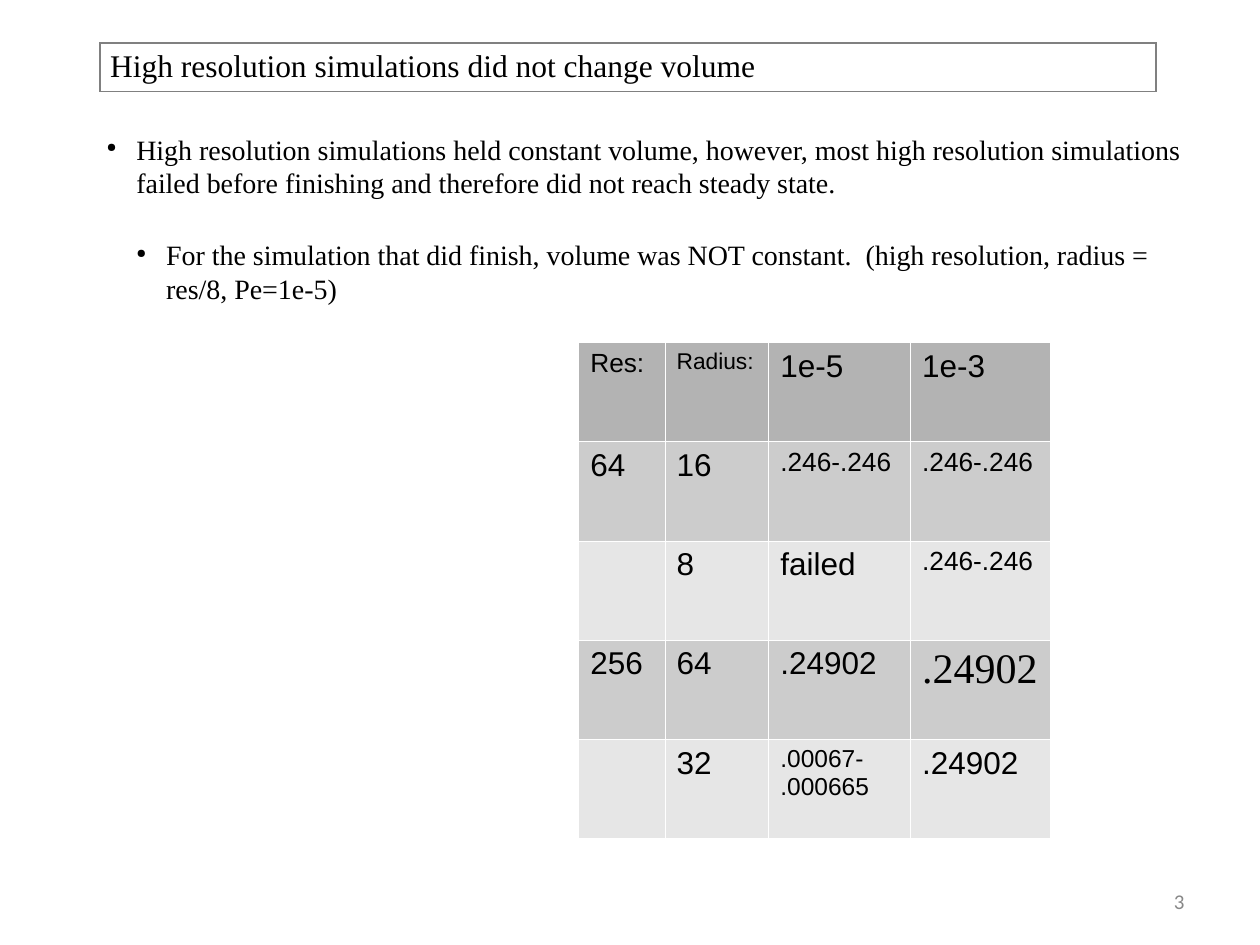
from lxml import etree
from pptx import Presentation
from pptx.dml.color import RGBColor
from pptx.enum import text
from pptx.oxml import ns
from pptx.util import Cm, Pt

COLORS = {"ink": "000000", "number": "888888", "frame": "808080", "grid": "FFFFFF",
          "header": "B3B3B3", "dark": "CCCCCC", "light": "E6E6E6"}
SERIF, SANS = "Times New Roman", "Arial"


def style_text(paragraph, size, font, color="ink"):
    """Format every run of a paragraph."""
    for span in paragraph.runs:
        span.font.size = Pt(size)
        span.font.name = font
        span.font.color.rgb = RGBColor.from_string(COLORS[color])


def style_cell(cell, border, width, fill=None):
    """Set the fill of a table cell and one line on all four sides."""
    if fill:
        cell.fill.solid()
        cell.fill.fore_color.rgb = RGBColor.from_string(COLORS[fill])
    else:
        cell.fill.background()
    properties = cell._tc.get_or_add_tcPr()
    for index, side in enumerate(("lnL", "lnR", "lnT", "lnB")):
        line = etree.Element(ns.qn(f"a:{side}"), w=str(Pt(width)))
        solid = etree.SubElement(line, ns.qn("a:solidFill"))
        etree.SubElement(solid, ns.qn("a:srgbClr"), val=COLORS[border])
        properties.insert(index, line)


deck = Presentation()
deck.slide_width, deck.slide_height = Cm(25.4), Cm(19.05)
page = deck.slides.add_slide(deck.slide_layouts[6])

# Framed title
title = page.shapes.add_table(1, 1, Cm(2.02), Cm(0.87), Cm(21.28), Cm(0.97)).table
title.first_row = title.horz_banding = False
heading = title.cell(0, 0)
heading.text_frame.text = "High resolution simulations did not change volume"
heading.margin_left = Cm(0.2)
heading.vertical_anchor = text.MSO_ANCHOR.MIDDLE
style_text(heading.text_frame.paragraphs[0], 18, SERIF)
style_cell(heading, "frame", 0.96)

# Bulleted findings
findings = [
    "High resolution simulations held constant volume, however, most high resolution "
    "simulations failed before finishing and therefore did not reach steady state.",
    "For the simulation that did finish, volume was NOT constant.  (high resolution, "
    "radius = res/8, Pe=1e-5)",
]
box = page.shapes.add_textbox(Cm(1.9), Cm(2.54), Cm(22.23), Cm(3.45))
box.text_frame.word_wrap = True
box.text_frame.text = "\n".join(findings)
for level, paragraph in enumerate(box.text_frame.paragraphs):
    paragraph.level = level
    paragraph.space_before = Pt(22 * level)
    style_text(paragraph, 16, SERIF)
    properties = paragraph._p.get_or_add_pPr()
    properties.set("marL", str(Cm(0.6 * (level + 1))))
    properties.set("indent", str(Cm(-0.6)))
    bullet_color = etree.SubElement(properties, ns.qn("a:buClr"))
    etree.SubElement(bullet_color, ns.qn("a:srgbClr"), val=COLORS["ink"])
    etree.SubElement(properties, ns.qn("a:buSzPct"), val="45000")
    etree.SubElement(properties, ns.qn("a:buChar"), char="●")

# Volume by resolution and radius
volumes = [
    ["Res:", "Radius:", "1e-5", "1e-3"],
    ["64", "16", ".246-.246", ".246-.246"],
    ["", "8", "failed", ".246-.246"],
    ["256", "64", ".24902", ".24902"],
    ["", "32", ".00067-.000665", ".24902"],
]
sizes = {"Res:": 15, "Radius:": 13, ".246-.246": 15, ".00067-.000665": 14}
widths = [1.74, 2.09, 2.86, 2.82]
row_fills = ["header", "dark", "light", "dark", "light"]
table = page.shapes.add_table(len(volumes), len(widths), Cm(11.66), Cm(6.9),
                              Cm(sum(widths)), Cm(2 * len(volumes))).table
table.first_row = table.horz_banding = False
for column, width in zip(table.columns, widths):
    column.width = Cm(width)
for row, (values, fill) in enumerate(zip(volumes, row_fills)):
    for column, value in enumerate(values):
        cell = table.cell(row, column)
        cell.text_frame.text = value
        cell.margin_left, cell.margin_right = Cm(0.24), Cm(0.15)
        style_text(cell.text_frame.paragraphs[0], sizes.get(value, 18), SANS)
        style_cell(cell, "grid", 0.06, fill)
style_text(table.cell(3, 3).text_frame.paragraphs[0], 24, SERIF)

# Page number
number = page.shapes.add_textbox(Cm(18.2), Cm(17.66), Cm(5.93), Cm(1.01))
number.text_frame.word_wrap = True
number.text_frame.vertical_anchor = text.MSO_ANCHOR.MIDDLE
number.text_frame.text = "3"
number.text_frame.paragraphs[0].alignment = text.PP_ALIGN.RIGHT
style_text(number.text_frame.paragraphs[0], 12, "Calibri", "number")

deck.save("out.pptx")
